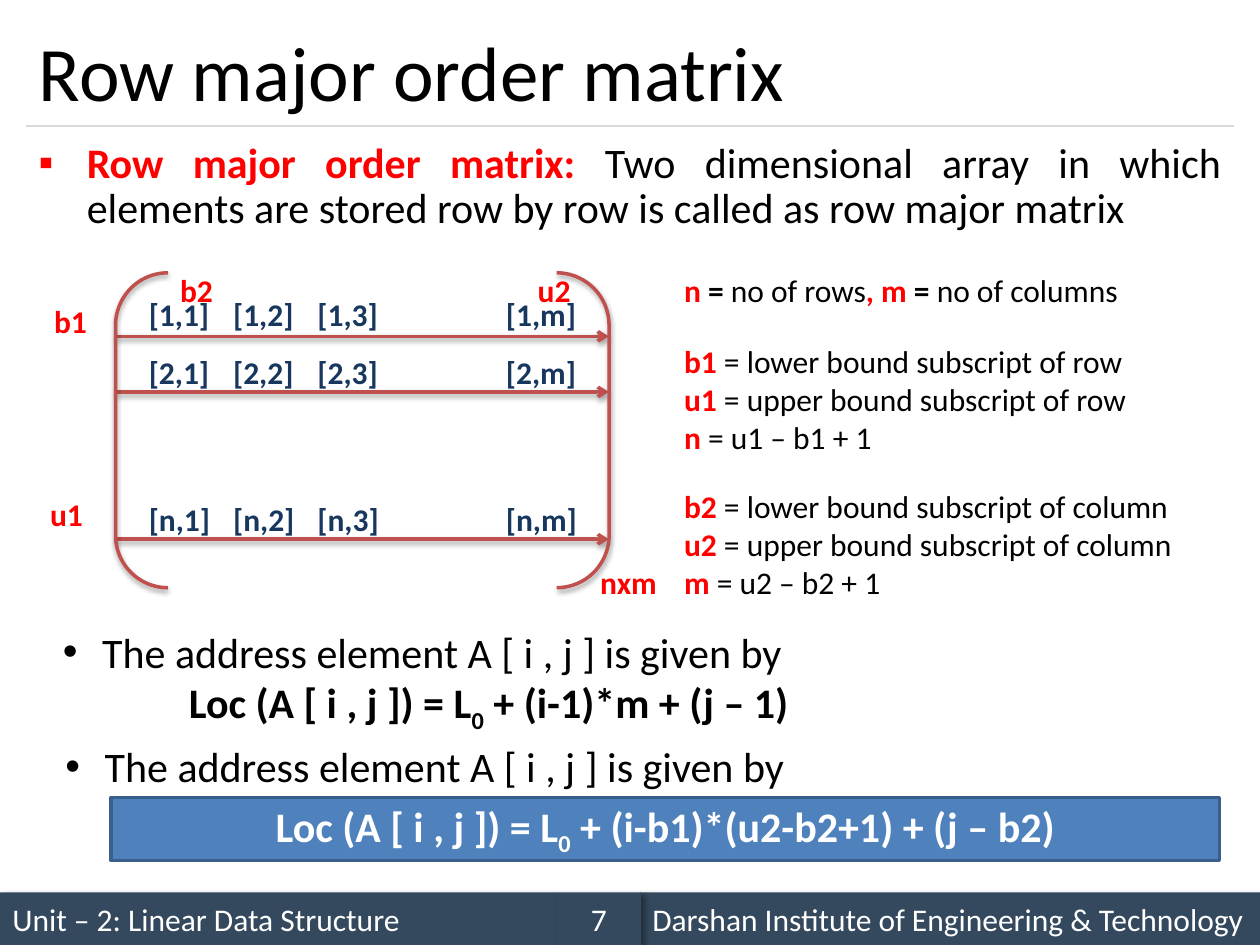
from lxml import etree
from pptx import Presentation
from pptx.dml.color import RGBColor
from pptx.enum.shapes import MSO_CONNECTOR, MSO_SHAPE
from pptx.enum.text import MSO_ANCHOR, PP_ALIGN
from pptx.oxml.ns import qn
from pptx.util import Cm, Pt

LINE = MSO_CONNECTOR.STRAIGHT
RECT = MSO_SHAPE.RECTANGLE
PAIR = MSO_SHAPE.DOUBLE_BRACKET
MIDDLE, TOP = MSO_ANCHOR.MIDDLE, MSO_ANCHOR.TOP
LEFT, CENTER, FULL = PP_ALIGN.LEFT, PP_ALIGN.CENTER, PP_ALIGN.JUSTIFY

FONT = "Calibri"
BLACK = RGBColor(0x00, 0x00, 0x00)
WHITE = RGBColor(0xFF, 0xFF, 0xFF)
RED = RGBColor(0xFF, 0x00, 0x00)
NAVY = RGBColor(0x17, 0x37, 0x5E)
SLATE = RGBColor(0x34, 0x49, 0x5E)
GREY = RGBColor(0xD9, 0xD9, 0xD9)
BRICK = RGBColor(0xC0, 0x50, 0x4D)
BLUE = RGBColor(0x4F, 0x81, 0xBD)
EDGE = RGBColor(0x3A, 0x5F, 0x8C)

SOFT = (38, 3.1, 1.6, 90)
DEEP = (40, 4, 3, 45)
ROW_H = 1.02


def style(run, size, color, bold=False, base=0):
    font = run.font
    font.name, font.size, font.bold = FONT, Pt(size), bold
    font.color.rgb = color
    if base:
        run._r.get_or_add_rPr().set("baseline", str(base * 1000))


def write(para, parts, size, align=LEFT):
    para.alignment = align
    for text, *look in parts:
        run = para.add_run()
        run.text = text
        style(run, size, *look)


def indent(para, left, char=None, hang=0):
    props = para._p.get_or_add_pPr()
    props.set("marL", str(Cm(left)))
    props.set("indent", str(-Cm(hang)))
    if char:
        etree.SubElement(props, qn("a:buFont")).set("typeface", "Arial")
        etree.SubElement(props, qn("a:buChar")).set("char", char)


def shade(shape, look=None):
    props = shape._element.spPr
    effect = props.find(qn("a:effectLst"))
    if effect is None:
        effect = etree.SubElement(props, qn("a:effectLst"))
    if look:
        alpha, blur, dist, angle = look
        outer = etree.SubElement(
            effect, qn("a:outerShdw"), blurRad=str(Pt(blur)),
            dist=str(Pt(dist)), dir=str(angle * 60000), rotWithShape="0")
        tint = etree.SubElement(outer, qn("a:srgbClr"), val="000000")
        etree.SubElement(tint, qn("a:alpha"), val=str(alpha * 1000))


def add_text(slide, x, y, w, h, rows, size=18, align=LEFT):
    box = slide.shapes.add_textbox(Cm(x), Cm(y), Cm(w), Cm(h))
    frame = box.text_frame
    frame.word_wrap = True
    for i, parts in enumerate(rows):
        para = frame.add_paragraph() if i else frame.paragraphs[0]
        write(para, parts, size, align)
    return frame.paragraphs


def add_line(slide, x1, x2, y, color, width, arrow=False):
    line = slide.shapes.add_connector(LINE, Cm(x1), Cm(y), Cm(x2), Cm(y))
    line.line.color.rgb = color
    line.line.width = Pt(width)
    if arrow:
        ln = line.line._get_or_add_ln()
        etree.SubElement(ln, qn("a:tailEnd"), type="arrow")
    shade(line, SOFT if arrow else None)


def add_box(slide, kind, x, y, w, h, fill=None, edge=None, shadow=None):
    shape = slide.shapes.add_shape(kind, Cm(x), Cm(y), Cm(w), Cm(h))
    shape.shadow.inherit = False
    if fill is None:
        shape.fill.background()
    else:
        shape.fill.solid()
        shape.fill.fore_color.rgb = fill
    if edge is None:
        shape.line.fill.background()
    else:
        shape.line.color.rgb = edge
        shape.line.width = Pt(2)
    shade(shape, shadow)
    shape.text_frame.vertical_anchor = MIDDLE
    return shape.text_frame.paragraphs[0]


def add_title(slide, text):
    title = slide.shapes.title
    title.left, title.top = Cm(0.53), Cm(0.3)
    title.width, title.height = Cm(24.34), Cm(2.24)
    frame = title.text_frame
    frame.text = text
    frame.vertical_anchor = MIDDLE
    para = frame.paragraphs[0]
    para.alignment = LEFT
    style(para.runs[0], 44, BLACK)
    add_line(slide, 0.53, 24.87, 2.54, GREY, 0.75)


def add_footer(slide):
    for x, w, text, align in (
        (0, 11.23, "Unit – 2: Linear Data Structure", LEFT),
        (12.9, 12.5, "Darshan Institute of Engineering & Technology", LEFT),
        (11.23, 1.69, "7", CENTER),
    ):
        para = add_box(slide, RECT, x, 17.99, w, 1.06, SLATE, shadow=DEEP)
        write(para, [(text, WHITE)], 18, align)


def add_matrix(slide):
    for name, text_y, line_y in (
        ("1", 5.82, 6.78), ("2", 6.99, 7.9), ("n", 9.96, 10.87),
    ):
        add_line(slide, 2.33, 12.27, line_y, BRICK, 2, True)
        for col, x in (("1", 2.75), ("2", 4.45), ("3", 6.15), ("m", 9.95)):
            cell = (f"[{name},{col}]", NAVY, True)
            add_text(slide, x, text_y, 2.33, ROW_H, [[cell]])
    add_box(slide, PAIR, 2.33, 5.5, 9.95, 6.35, edge=BRICK, shadow=SOFT)
    for text, x, y in (
        ("b1", 0.84, 5.97), ("u1", 0.76, 9.86), ("b2", 3.38, 5.33),
        ("u2", 10.59, 5.33), ("nxm", 11.85, 11.22),
    ):
        add_text(slide, x, y, 1.7, ROW_H, [[(text, RED, True)]])


def add_legend(slide):
    top = [("n ", RED, True), ("= ", BLACK, True), ("no of rows", BLACK),
           (", m ", RED, True), ("= ", BLACK, True), ("no of columns", BLACK)]
    add_text(slide, 13.54, 5.33, 11.23, ROW_H, [top])
    for y, num, size, axis in ((6.78, 1, "n", "row"), (9.7, 2, "m", "column")):
        rows = (
            (f"b{num}", f" = lower bound subscript of {axis}"),
            (f"u{num}", f" = upper bound subscript of {axis}"),
            (size, f" = u{num} – b{num} + 1"),
        )
        rows = [[(key, RED, True), (text, BLACK)] for key, text in rows]
        add_text(slide, 13.54, y, 11.23, 2.57, rows)


def formula(tail, color):
    return [("Loc (A [ i , j ]) = L", color, True), ("0", color, True, -25),
            (tail, color, True)]


def add_rules(slide):
    lead = [("The address element A [ i , j ] is given by", BLACK)]
    plain = formula(" + (i-1)*m + (j – 1)", BLACK)
    first = add_text(slide, 1.02, 12.5, 23.55, 2.31, [lead, plain], 24)
    indent(first[0], 0.79, "•", 0.79)
    indent(first[1], 2.54)
    last = add_text(slide, 1.07, 14.81, 23.55, 1.27, [lead], 24)
    indent(last[0], 0.79, "•", 0.79)
    para = add_box(slide, RECT, 2.24, 16.08, 22.35, 1.27, BLUE, EDGE)
    write(para, formula(" + (i-b1)*(u2-b2+1) + (j – b2)", WHITE), 24, CENTER)


def add_intro(slide):
    parts = [("Row major order matrix: ", RED, True),
             ("Two dimensional array in which elements are stored "
              "row by row is called as row major matrix", BLACK)]
    para = add_text(slide, 0.53, 2.74, 24.34, 2.34, [parts], 24, FULL)[0]
    indent(para, 0.97, "▪", 0.97)
    para.line_spacing = 0.9


def main():
    deck = Presentation()
    deck.slide_width, deck.slide_height = Cm(25.4), Cm(19.05)
    slide = deck.slides.add_slide(deck.slide_layouts[5])
    add_footer(slide)
    add_title(slide, "Row major order matrix")
    add_intro(slide)
    add_matrix(slide)
    add_legend(slide)
    add_rules(slide)
    deck.save("out.pptx")


if __name__ == "__main__":
    main()
